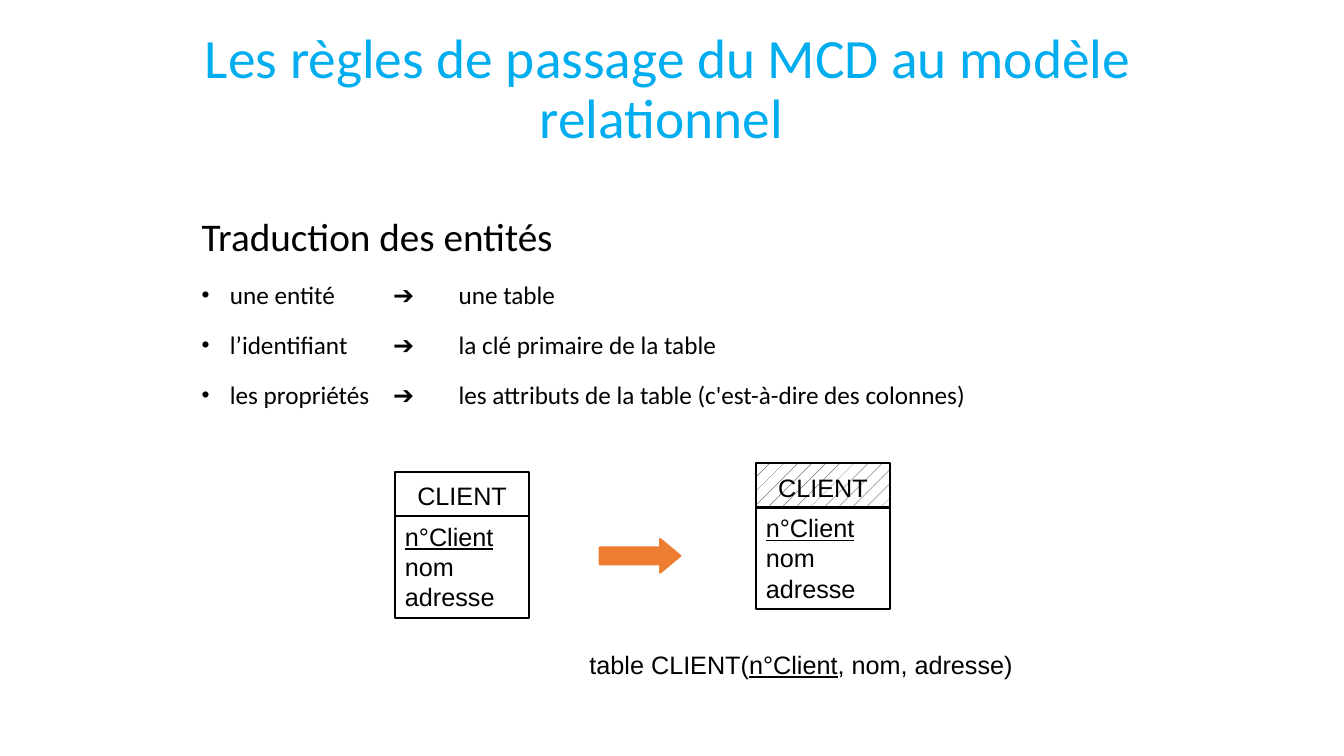
from dataclasses import dataclass

from lxml import etree
from pptx import Presentation
from pptx.dml.color import RGBColor
from pptx.enum.dml import MSO_PATTERN
from pptx.enum.shapes import MSO_SHAPE
from pptx.enum.text import MSO_ANCHOR, PP_ALIGN
from pptx.oxml.ns import qn
from pptx.shapes.autoshape import Shape
from pptx.slide import Slide
from pptx.text.text import TextFrame, _Paragraph
from pptx.util import Pt

RECTANGLE = MSO_SHAPE.RECTANGLE
RIGHT_ARROW = MSO_SHAPE.RIGHT_ARROW
DOTTED = MSO_PATTERN.PERCENT_5
MIDDLE = MSO_ANCHOR.MIDDLE
TOP = MSO_ANCHOR.TOP
CENTER = PP_ALIGN.CENTER
LEFT = PP_ALIGN.LEFT
JUSTIFY = PP_ALIGN.JUSTIFY

BLACK = RGBColor(0x00, 0x00, 0x00)
WHITE = RGBColor(0xFF, 0xFF, 0xFF)
CYAN = RGBColor(0x00, 0xAE, 0xEF)
ORANGE = RGBColor(0xED, 0x7D, 0x31)

BODY_SIZE = 18
LINE_WIDTH = 1.5
BOX_WIDTH = 95.8
HEADER_HEIGHT = 31.5
ATTRIBUTES_HEIGHT = 72.7
BULLET_INDENT = 20.2
RULE_TABS = (136.8, 183.6)

TITLE = "Les règles de passage du MCD au modèle relationnel "
HEADING = "Traduction des entités"
NAME = "CLIENT"
IDENTIFIER = "n°Client"
ATTRIBUTES = (IDENTIFIER, "nom", "adresse")
CAPTION = ("table CLIENT(", IDENTIFIER, ", nom, adresse)")


@dataclass(frozen=True)
class Rule:
    source: str
    target: str


@dataclass(frozen=True)
class EntityBox:
    left: float
    top: float
    patterned: bool


RULES = (
    Rule("une entité", "une table"),
    Rule("l’identifiant", "la clé primaire de la table"),
    Rule("les propriétés", "les attributs de la table (c'est-à-dire des colonnes)"),
)
BOXES = (EntityBox(282.2, 337, False), EntityBox(540, 331, True))


def format_runs(paragraph: _Paragraph, font_name: str, size: float, color: RGBColor) -> None:
    for run in paragraph.runs:
        run.font.name = font_name
        run.font.size = Pt(size)
        run.font.color.rgb = color
        if run.text == IDENTIFIER:
            run.font.underline = True


def add_text_box(slide: Slide, left: float, top: float, width: float, height: float) -> TextFrame:
    shape = slide.shapes.add_textbox(Pt(left), Pt(top), Pt(width), Pt(height))
    shape.text_frame.word_wrap = True
    return shape.text_frame


def add_title(slide: Slide) -> None:
    text_frame = add_text_box(slide, 136.8, 16.6, 680.4, 95.8)
    text_frame.vertical_anchor = MIDDLE
    text_frame.text = TITLE
    paragraph = text_frame.paragraphs[0]
    paragraph.alignment = CENTER
    paragraph.line_spacing = 0.9
    format_runs(paragraph, "Calibri", 39.6, CYAN)


def set_bullet_and_tabs(paragraph: _Paragraph) -> None:
    properties = paragraph._p.get_or_add_pPr()
    properties.set("marL", str(Pt(BULLET_INDENT)))
    properties.set("indent", str(-Pt(BULLET_INDENT)))
    etree.SubElement(properties, qn("a:buSzPct"), val="90000")
    etree.SubElement(properties, qn("a:buFont"), typeface="Arial")
    etree.SubElement(properties, qn("a:buChar"), char="•")
    tab_list = etree.SubElement(properties, qn("a:tabLst"))
    for position in RULE_TABS:
        etree.SubElement(tab_list, qn("a:tab"), pos=str(Pt(position)), algn="l")


def add_rules(slide: Slide) -> None:
    text_frame = add_text_box(slide, 144, 148.3, 678.2, 145.4)
    text_frame.margin_left = text_frame.margin_right = 0
    text_frame.margin_top = text_frame.margin_bottom = 0
    lines = [HEADING] + [f"{rule.source}\t➔\t{rule.target}" for rule in RULES]
    text_frame.text = "\n".join(lines)
    for index, paragraph in enumerate(text_frame.paragraphs):
        paragraph.alignment = JUSTIFY
        paragraph.line_spacing = 1.1
        paragraph.space_before = Pt(12)
        format_runs(paragraph, "Calibri", BODY_SIZE if index else 28, BLACK)
        if index:
            set_bullet_and_tabs(paragraph)


def add_rectangle(slide: Slide, box: EntityBox, offset: float, height: float, text: str) -> Shape:
    shape = slide.shapes.add_shape(
        RECTANGLE, Pt(box.left), Pt(box.top + offset), Pt(BOX_WIDTH), Pt(height)
    )
    shape.shadow.inherit = False
    shape.fill.background()
    shape.line.color.rgb = BLACK
    shape.line.width = Pt(LINE_WIDTH)
    shape.text_frame.word_wrap = True
    shape.text_frame.text = text
    for paragraph in shape.text_frame.paragraphs:
        paragraph.alignment = LEFT
        format_runs(paragraph, "Arial", BODY_SIZE, BLACK)
    return shape


def add_entity_box(slide: Slide, box: EntityBox) -> None:
    header = add_rectangle(slide, box, 0, HEADER_HEIGHT, NAME)
    header.text_frame.vertical_anchor = MIDDLE
    header.text_frame.paragraphs[0].alignment = CENTER
    header.text_frame.paragraphs[0].line_spacing = 1.1
    if box.patterned:
        header.fill.patterned()
        header.fill.pattern = DOTTED
        header.fill.fore_color.rgb = BLACK
        header.fill.back_color.rgb = WHITE
    attributes = add_rectangle(
        slide, box, HEADER_HEIGHT, ATTRIBUTES_HEIGHT, "\n".join(ATTRIBUTES)
    )
    attributes.text_frame.vertical_anchor = TOP


def add_caption(slide: Slide) -> None:
    text_frame = add_text_box(slide, 414, 460, 319.7, 29.5)
    text_frame.word_wrap = False
    paragraph = text_frame.paragraphs[0]
    for part in CAPTION:
        paragraph.add_run().text = part
    format_runs(paragraph, "Arial", BODY_SIZE, BLACK)


def add_arrow(slide: Slide) -> None:
    arrow = slide.shapes.add_shape(RIGHT_ARROW, Pt(428.4), Pt(385), Pt(57.6), Pt(24))
    arrow.shadow.inherit = False
    arrow.adjustments[0] = 0.5
    arrow.adjustments[1] = 0.6
    arrow.fill.solid()
    arrow.fill.fore_color.rgb = ORANGE
    arrow.line.color.rgb = ORANGE
    arrow.line.width = Pt(LINE_WIDTH)


def main() -> None:
    presentation = Presentation()
    presentation.slide_width = Pt(960)
    presentation.slide_height = Pt(540)
    slide = presentation.slides.add_slide(presentation.slide_layouts[6])
    add_title(slide)
    add_rules(slide)
    for box in BOXES:
        add_entity_box(slide, box)
    add_caption(slide)
    add_arrow(slide)
    presentation.save("out.pptx")


if __name__ == "__main__":
    main()
